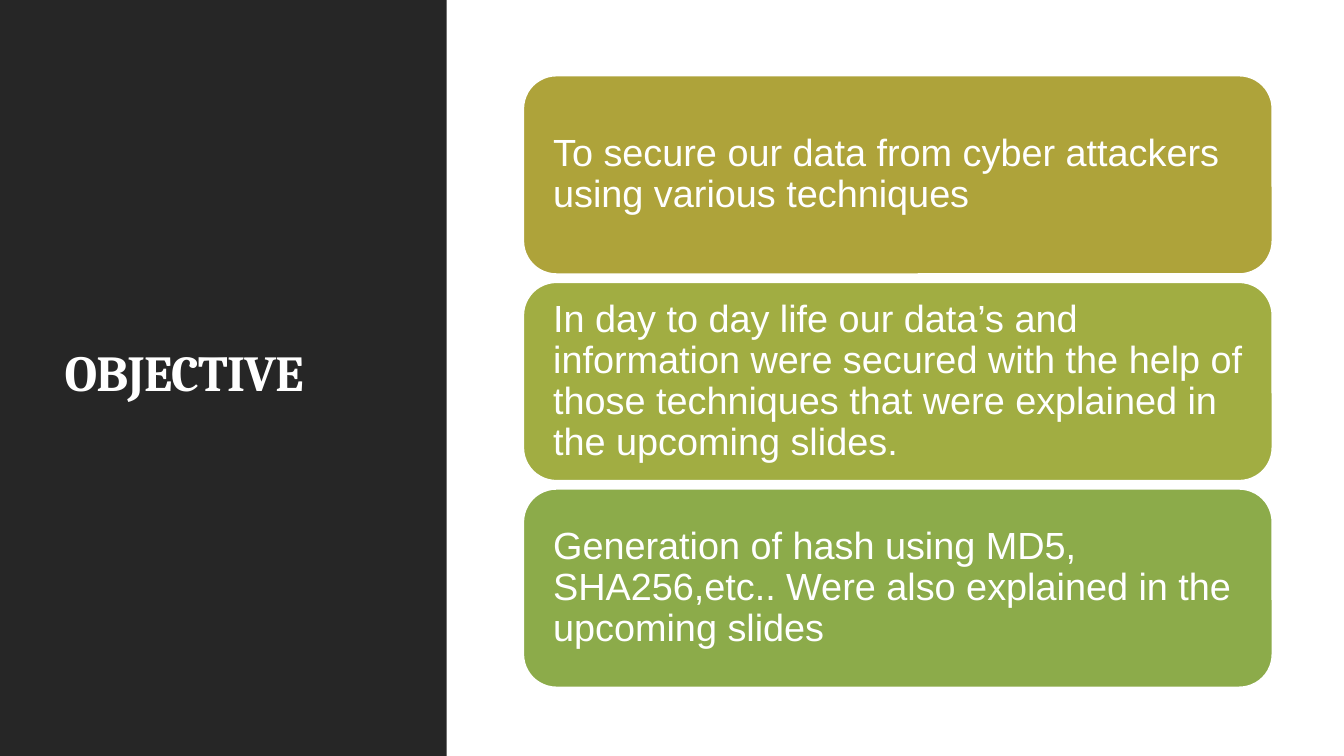
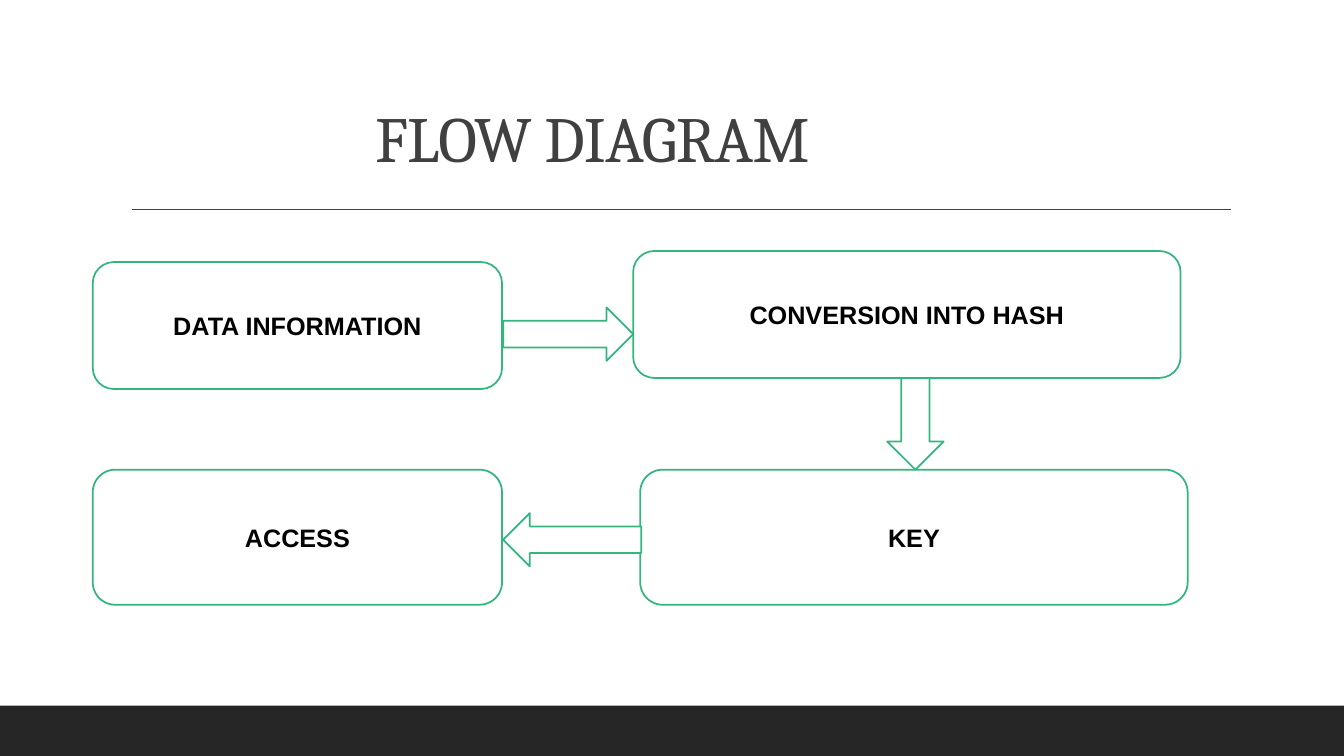
"""Build the objective and flow diagram slides of a data security talk."""
from lxml.etree import SubElement
from pptx import Presentation
from pptx.dml.color import RGBColor
from pptx.enum.shapes import MSO_CONNECTOR, MSO_SHAPE as Preset
from pptx.enum.text import MSO_ANCHOR as Anchor, MSO_AUTO_SIZE, PP_ALIGN as Align
from pptx.oxml.ns import qn
from pptx.util import Emu, Pt

PX = 9144
SLIDE_WIDTH, SLIDE_HEIGHT = 1333, 750
TITLE_ONLY = 5

WHITE = RGBColor(0xFF, 0xFF, 0xFF)
BLACK = RGBColor(0x00, 0x00, 0x00)
DARK = RGBColor(0x26, 0x26, 0x26)
GREY = RGBColor(0x40, 0x40, 0x40)
GREEN = RGBColor(0x33, 0xB6, 0x7D)

TITLE_FONT, BODY_FONT = "Cambria", "Arial"

CARD_LEFT, CARD_TOP, CARD_WIDTH, CARD_HEIGHT = 519, 75, 743, 197
CARD_PITCH = 205
OBJECTIVES = [
    ("To secure our data from cyber attackers using various techniques",
     RGBColor(0xAE, 0xA3, 0x3A)),
    ("In day to day life our data’s and information were secured with the help of "
     "those techniques that were explained in the upcoming slides.",
     RGBColor(0xA1, 0xAD, 0x42)),
    ("Generation of hash using MD5, SHA256,etc.. Were also explained in the upcoming slides",
     RGBColor(0x8C, 0xAB, 0x4A)),
]

STEPS = [
    ("DATA INFORMATION", (92, 260, 406, 126)),
    ("CONVERSION INTO HASH", (628, 249, 543, 126)),
    ("ACCESS", (92, 466, 406, 134)),
    ("KEY", (635, 466, 543, 134)),
]
ARROWS = [
    (Preset.RIGHT_ARROW, (499, 305, 129, 53)),
    (Preset.DOWN_ARROW, (880, 375, 56, 91)),
    (Preset.LEFT_ARROW, (499, 509, 137, 53)),
]


def px(*lengths):
    return [Emu(length * PX) for length in lengths]


def add_run(paragraph, text, font_name, size, color, bold=False):
    run = paragraph.add_run()
    run.text = text
    font = run.font
    font.name, font.size, font.bold = font_name, Pt(size), bold
    font.color.rgb = color
    return run


def add_block(slide, preset, box, fill, outline=None):
    block = slide.shapes.add_shape(preset, *px(*box))
    block.shadow.inherit = False
    block.fill.solid()
    block.fill.fore_color.rgb = fill
    if outline is None:
        block.line.fill.background()
    else:
        block.line.color.rgb = outline
        block.line.width = Pt(1.25)
    return block


def write_block(block, text, size, color, align, inset=10, spacing=1.0, bold=False):
    frame = block.text_frame
    frame.word_wrap = True
    frame.vertical_anchor = Anchor.MIDDLE
    frame.margin_left = frame.margin_right = Emu(inset * PX)
    paragraph = frame.paragraphs[0]
    paragraph.alignment = align
    paragraph.line_spacing = spacing
    add_run(paragraph, text, BODY_FONT, size, color, bold)


def set_title(slide, text, box, size, color, anchor, bold=False):
    title = slide.shapes.title
    title.left, title.top, title.width, title.height = px(*box)
    frame = title.text_frame
    frame.auto_size = MSO_AUTO_SIZE.NONE
    frame.word_wrap = True
    frame.vertical_anchor = anchor
    paragraph = frame.paragraphs[0]
    paragraph.alignment = Align.LEFT
    paragraph.line_spacing = 0.9
    run = add_run(paragraph, text, TITLE_FONT, size, color, bold)
    run.font._element.set("spc", "-50")


def add_band(slide, box):
    band = add_block(slide, Preset.RECTANGLE, box, DARK)
    slide.shapes.title.element.addprevious(band.element)


def add_rule(slide, left, right, top):
    rule = slide.shapes.add_connector(MSO_CONNECTOR.STRAIGHT, *px(left, top, right, top))
    rule.line.color.rgb = GREY
    rule.line.width = Pt(1)
    SubElement(rule.element.spPr, qn("a:effectLst"))


def build_objective(slide):
    add_band(slide, (0, 0, 443, SLIDE_HEIGHT))
    set_title(slide, "OBJECTIVE", (54, 57, 337, 631), 36, WHITE, Anchor.MIDDLE, bold=True)
    for index, (objective, fill) in enumerate(OBJECTIVES):
        box = (CARD_LEFT, CARD_TOP + index * CARD_PITCH, CARD_WIDTH, CARD_HEIGHT)
        card = add_block(slide, Preset.ROUNDED_RECTANGLE, box, fill, WHITE)
        write_block(card, objective, 27, WHITE, Align.LEFT, inset=20, spacing=0.9)


def build_flow(slide):
    add_band(slide, (0, 700, SLIDE_WIDTH, 50))
    set_title(slide, "FLOW DIAGRAM", (362, 21, 1100 - 129, 159), 46, GREY, Anchor.BOTTOM)
    add_rule(slide, 131, 1221, 208)
    for label, box in STEPS:
        step = add_block(slide, Preset.ROUNDED_RECTANGLE, box, WHITE, GREEN)
        write_block(step, label, 18, BLACK, Align.CENTER, bold=True)
    for preset, box in ARROWS:
        add_block(slide, preset, box, WHITE, GREEN)


def main():
    deck = Presentation()
    deck.slide_width, deck.slide_height = px(SLIDE_WIDTH, SLIDE_HEIGHT)
    for build in (build_objective, build_flow):
        build(deck.slides.add_slide(deck.slide_layouts[TITLE_ONLY]))
    deck.save("out.pptx")


if __name__ == "__main__":
    main()
